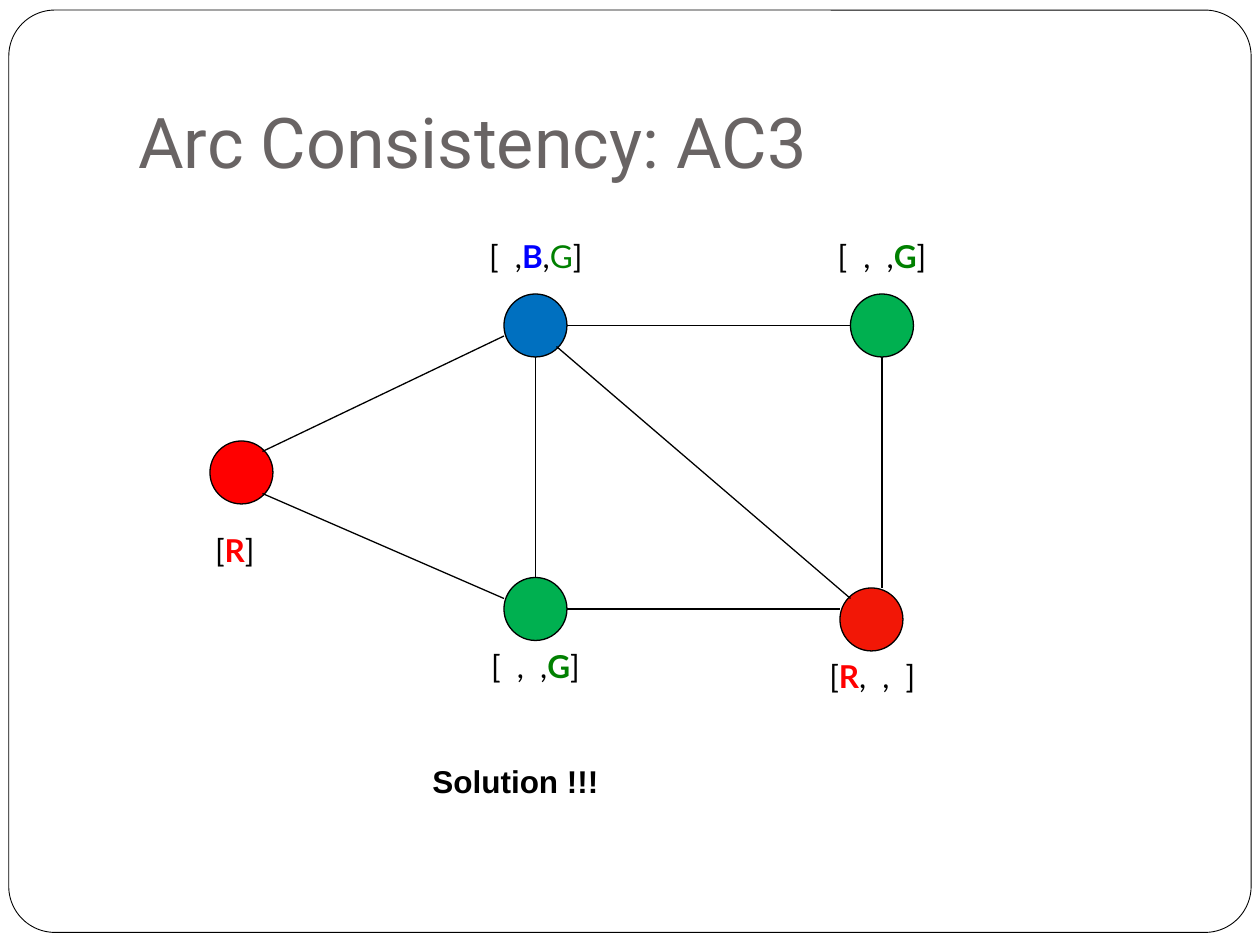
from dataclasses import dataclass
from typing import Any

from lxml import etree
from pptx import Presentation
from pptx.dml.color import RGBColor
from pptx.enum.shapes import MSO_CONNECTOR, MSO_SHAPE
from pptx.enum.text import MSO_ANCHOR, MSO_AUTO_SIZE
from pptx.oxml.ns import qn
from pptx.util import Inches, Pt

ELLIPSE = MSO_SHAPE.OVAL
ROUNDED = MSO_SHAPE.ROUNDED_RECTANGLE
STRAIGHT = MSO_CONNECTOR.STRAIGHT
TOP, BOTTOM = MSO_ANCHOR.TOP, MSO_ANCHOR.BOTTOM
GROW, FIXED = MSO_AUTO_SIZE.SHAPE_TO_FIT_TEXT, MSO_AUTO_SIZE.NONE

COLUMNS, ROWS = 120, 90
NODE_SIZE = 6
LABEL_HEIGHT = 4.8
COLORS = {
    "white": "FFFFFF",
    "black": "000000",
    "title": "696464",
    "red": "FF0000",
    "dark red": "F21706",
    "green": "00B050",
    "blue": "0070C0",
    "letter green": "008000",
    "letter blue": "0000FF",
}


@dataclass
class Node:
    column: float
    row: float
    color: str


@dataclass
class Edge:
    start: tuple[float, float]
    end: tuple[float, float]


@dataclass
class Run:
    text: str
    color: str = "black"
    bold: bool = False


@dataclass
class Label:
    column: float
    row: float
    width: float
    runs: list[Run]
    height: float = LABEL_HEIGHT
    font: str = "Lato"
    size: float = 18
    wrap: bool = False
    anchor: Any = TOP
    auto_size: Any = GROW
    bottom: float = 0.05


NODES = [
    Node(20, 42, "red"),
    Node(48, 55, "green"),
    Node(48, 28, "blue"),
    Node(80, 56, "dark red"),
    Node(81, 28, "green"),
]
EDGES = [
    Edge((25, 43), (48, 32)),
    Edge((25, 47), (48, 57)),
    Edge((51, 34), (51, 55)),
    Edge((54, 31), (81, 31)),
    Edge((84, 34), (84, 56)),
    Edge((54, 58), (80, 58)),
    Edge((53, 33), (81, 57)),
]
ONLY_GREEN = [Run("[  ,  ,"), Run("G", "letter green", True), Run("]")]
TITLE = Label(12, 3.6, 102, [Run("Arc Consistency: AC3", "title")], height=15,
              font="Roboto", size=40, wrap=True, anchor=BOTTOM,
              auto_size=FIXED, bottom=0.1)
LABELS = [
    Label(19.3, 50, 6.4, [Run("["), Run("R", "red", True), Run("]")]),
    Label(78.6, 22, 11.3, ONLY_GREEN),
    Label(45.4, 22, 11.8, [Run("[  ,"), Run("B", "letter blue", True), Run(","),
                           Run("G", "letter green"), Run("]")]),
    Label(45.6, 61, 11.3, ONLY_GREEN),
    Label(77.8, 62, 11, [Run("["), Run("R", "red", True), Run(",  ,  ]")]),
    Label(40, 72, 21, [Run("Solution !!!", bold=True)], font="Arial", wrap=True),
]

presentation = Presentation()
presentation.slide_width = Inches(10)
presentation.slide_height = Inches(7.5)
slide = presentation.slides.add_slide(presentation.slide_layouts[6])


def across(columns: float) -> int:
    return round(presentation.slide_width * columns / COLUMNS)


def down(rows: float) -> int:
    return round(presentation.slide_height * rows / ROWS)


def rgb(color: str) -> RGBColor:
    return RGBColor.from_string(COLORS[color])


def set_attributes(target: Any, values: dict[str, Any]) -> None:
    for name, value in values.items():
        setattr(target, name, value)


def draw_line_format(target: Any, width: float) -> None:
    target.line.color.rgb = rgb("black")
    target.line.width = Pt(width)


def draw_shape(kind: Any, column: float, row: float, width: float, height: float,
               color: str, line_width: float) -> Any:
    shape = slide.shapes.add_shape(kind, across(column), down(row),
                                   across(width), down(height))
    shape.shadow.inherit = False
    shape.fill.solid()
    shape.fill.fore_color.rgb = rgb(color)
    draw_line_format(shape, line_width)
    return shape


def draw_edge(edge: Edge) -> None:
    (column, row), (end_column, end_row) = edge.start, edge.end
    connector = slide.shapes.add_connector(STRAIGHT, across(column), down(row),
                                           across(end_column), down(end_row))
    draw_line_format(connector, 0.75)
    etree.SubElement(connector._element.spPr, qn("a:effectLst"))


def draw_label(label: Label) -> None:
    shape = slide.shapes.add_textbox(across(label.column), down(label.row),
                                     across(label.width), down(label.height))
    set_attributes(shape.text_frame, {
        "word_wrap": label.wrap,
        "auto_size": label.auto_size,
        "vertical_anchor": label.anchor,
        "margin_left": Inches(0.1),
        "margin_right": Inches(0.1),
        "margin_top": Inches(0.05),
        "margin_bottom": Inches(label.bottom),
    })
    paragraph = shape.text_frame.paragraphs[0]
    for part in label.runs:
        run = paragraph.add_run()
        run.text = part.text
        set_attributes(run.font, {"name": label.font, "size": Pt(label.size),
                                  "bold": part.bold})
        run.font.color.rgb = rgb(part.color)


def main() -> None:
    frame = draw_shape(ROUNDED, 0.84, 0.96, 118.32, 87.84, "white", 0.5)
    frame.adjustments[0] = 0.05
    draw_label(TITLE)
    for node in NODES:
        draw_shape(ELLIPSE, node.column, node.row, NODE_SIZE, NODE_SIZE,
                   node.color, 0.75)
    for edge in EDGES:
        draw_edge(edge)
    for label in LABELS:
        draw_label(label)
    presentation.save("out.pptx")


if __name__ == "__main__":
    main()
